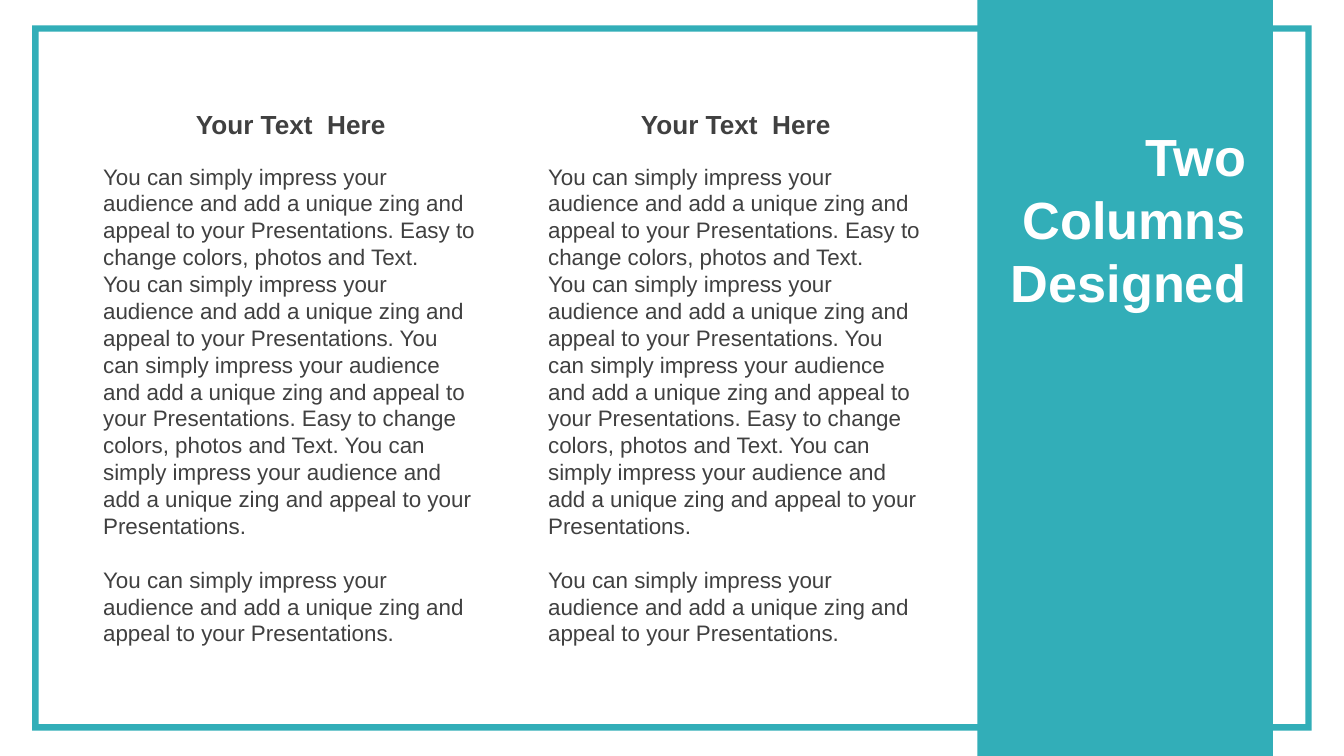
from dataclasses import dataclass

from pptx import Presentation, util as u
from pptx.dml.color import RGBColor
from pptx.enum import shapes, text


@dataclass(frozen=True)
class Theme:
    """Colours, font and type sizes in points."""
    teal: RGBColor = RGBColor(0x32, 0xAE, 0xB8)
    ink: RGBColor = RGBColor(0x40, 0x40, 0x40)
    white: RGBColor = RGBColor(0xFF, 0xFF, 0xFF)
    font: str = "Arial"
    title: int = 28
    heading: int = 14
    body: int = 12
    leading: float = 1.2


THEME = Theme()
WIDTH, HEIGHT = 25.4, 14.29
MARGIN_X, MARGIN_Y = 0.61, 0.48
COLUMN_STEP = 8.41

SENTENCE = ("You can simply impress your audience and add a unique zing "
            "and appeal to your Presentations.")
EASY = "Easy to change colors, photos and Text."
PARAGRAPHS = [
    f"{SENTENCE} {EASY}",
    f"{SENTENCE} {SENTENCE} {EASY} {SENTENCE}",
    SENTENCE,
]
COLUMNS = [("Your Text  Here", PARAGRAPHS)] * 2


def place(item, left, top, width, height):
    """Move and size an item, in centimetres."""
    item.left, item.top = u.Cm(left), u.Cm(top)
    item.width, item.height = u.Cm(width), u.Cm(height)


def write(frame, lines, *, size, color, bold=False, align=text.PP_ALIGN.LEFT,
          anchor=text.MSO_ANCHOR.TOP, fit=text.MSO_AUTO_SIZE.NONE):
    """Fill a text frame with one paragraph for each line; return them."""
    frame.word_wrap = True
    frame.auto_size = fit
    frame.vertical_anchor = anchor
    for index, line in enumerate(lines):
        para = frame.add_paragraph() if index else frame.paragraphs[0]
        para.alignment = align
        para.line_spacing = u.Pt(size * THEME.leading)
        para.space_before = u.Pt(0)
        span = para.add_run()
        span.text = line
        span.font.name = THEME.font
        span.font.size = u.Pt(size)
        span.font.bold = bold
        span.font.color.rgb = color
    return frame.paragraphs


def add_block(page, kind, left, top, width, height):
    """Add a flat teal shape."""
    block = page.shapes.add_shape(
        kind, u.Cm(left), u.Cm(top), u.Cm(width), u.Cm(height))
    block.shadow.inherit = False
    block.fill.solid()
    block.fill.fore_color.rgb = THEME.teal
    block.line.fill.background()
    return block


def add_border(page, left, top, width, height):
    """Draw the thin frame around the page."""
    border = add_block(page, shapes.MSO_SHAPE.FRAME, left, top, width, height)
    border.adjustments[0] = 0.009


def add_title_band(page, title, left, top, width, height):
    """Draw the vertical band and set the title on it."""
    add_block(page, shapes.MSO_SHAPE.RECTANGLE, left, top, width, height)
    box = page.shapes.title
    box.element.getparent().append(box.element)  # bring in front of the band
    place(box, left + 0.33, top + 2.13, width - 0.59, 4.01)
    write(box.text_frame, [title], size=THEME.title, color=THEME.white,
          bold=True, align=text.PP_ALIGN.RIGHT, anchor=text.MSO_ANCHOR.MIDDLE)


def add_column(page, heading, paragraphs, left, top, width, height):
    """Write a centred heading with its body text below."""
    gap = 1.02
    fit = text.MSO_AUTO_SIZE.SHAPE_TO_FIT_TEXT
    body = page.shapes.add_textbox(
        u.Cm(left), u.Cm(top + gap), u.Cm(width), u.Cm(height - gap))
    paras = write(body.text_frame, paragraphs, size=THEME.body,
                  color=THEME.ink, fit=fit)
    paras[-1].space_before = u.Pt(THEME.body * THEME.leading)
    head = page.shapes.add_textbox(
        u.Cm(left), u.Cm(top), u.Cm(width), u.Cm(0.86))
    write(head.text_frame, [heading], size=THEME.heading, color=THEME.ink,
          bold=True, align=text.PP_ALIGN.CENTER, fit=fit)


def build_two_columns(deck):
    """Build the two-column page with its title band."""
    page = deck.slides.add_slide(deck.slide_layouts[5])
    add_border(page, MARGIN_X, MARGIN_Y,
               WIDTH - 2 * MARGIN_X, HEIGHT - 2 * MARGIN_Y)
    add_title_band(page, "Two Columns Designed", 18.47, 0, 5.59, HEIGHT)
    for index, (heading, paragraphs) in enumerate(COLUMNS):
        add_column(page, heading, paragraphs,
                   1.7 + index * COLUMN_STEP, 1.93, 7.59, 10.52)


deck = Presentation()
deck.slide_width, deck.slide_height = u.Cm(WIDTH), u.Cm(HEIGHT)
build_two_columns(deck)
deck.save("out.pptx")
